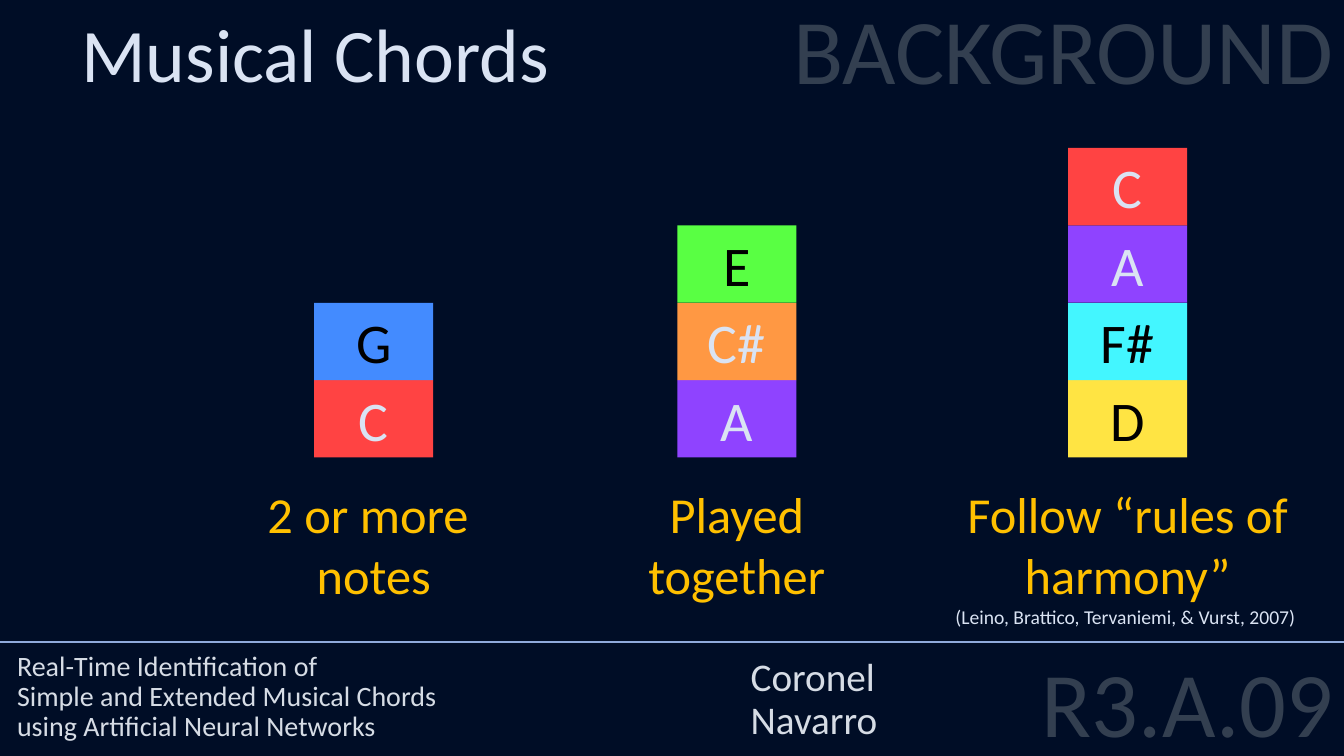
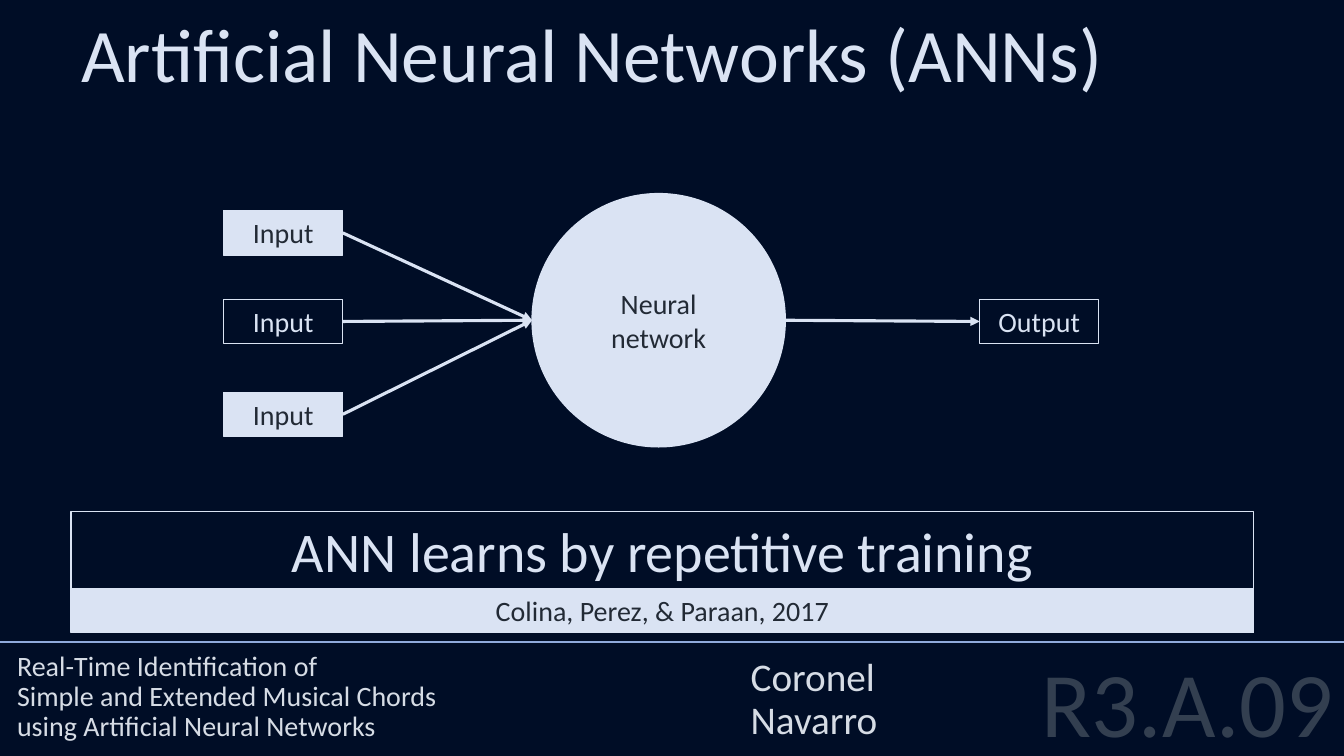
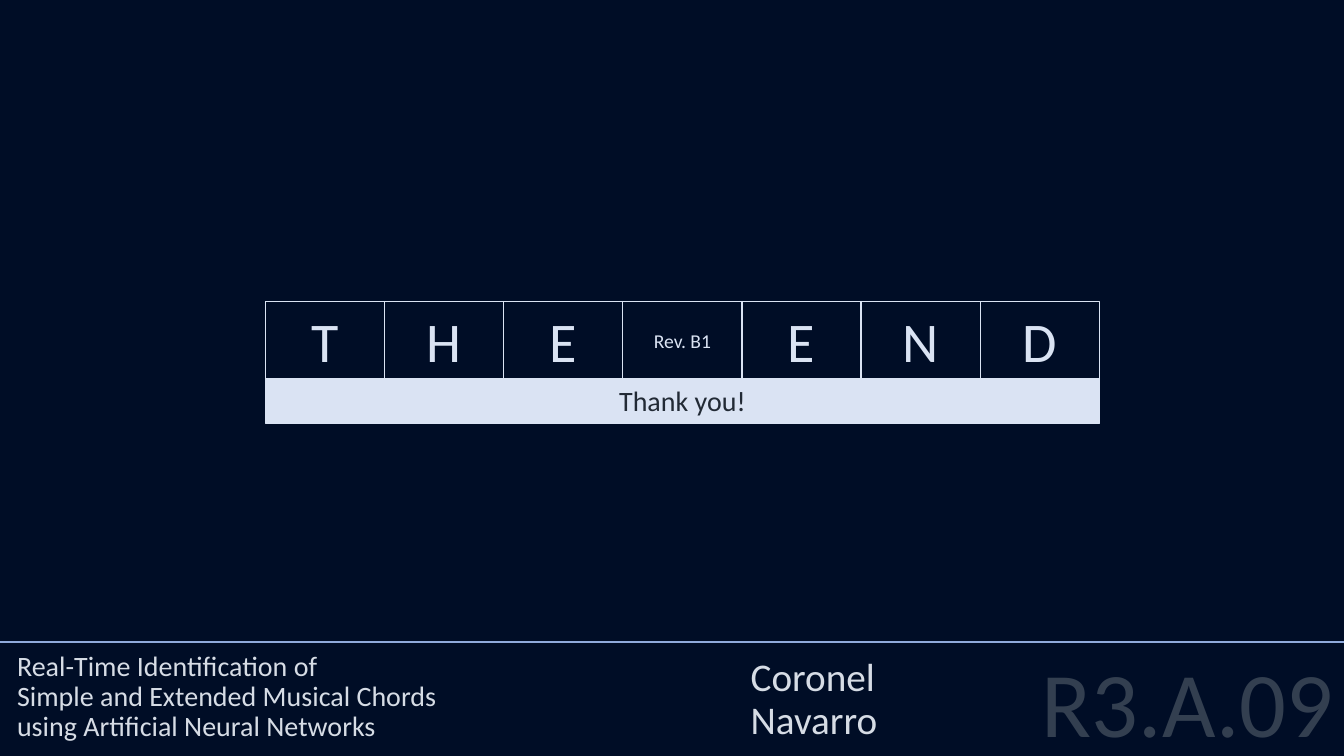
from dataclasses import dataclass

from lxml.etree import SubElement
from pptx import Presentation
from pptx.dml.color import RGBColor
from pptx.enum.shapes import MSO_CONNECTOR, MSO_SHAPE
from pptx.enum.text import MSO_ANCHOR, PP_ALIGN
from pptx.oxml.ns import qn
from pptx.util import Cm, Pt

# Content
PROJECT = ("Real-Time Identification of \vSimple and Extended Musical Chords \v"
           "using Artificial Neural Networks")
AUTHORS = "Coronel\nNavarro"
GROUP = "R3.A.09"

CHORDS_TITLE = "Musical Chords"
SECTION = "BACKGROUND"
# centre of the stack, notes from the bottom up, caption, citation
CHORDS = [
    (9.42, ["C", "G"], "2 or more \nnotes", ""),
    (18.57, ["A", "C#", "E"], "Played\ntogether", ""),
    (28.42, ["D", "F#", "A", "C"], "Follow “rules of harmony”",
     "(Leino, Brattico, Tervaniemi, & Vurst, 2007) "),
]
# block colour, and whether its letter is dark
NOTES = {
    "C": ("FF4343", False), "C#": ("FF9843", False), "D": ("FFE443", True),
    "E": ("59FF43", True), "F#": ("43F6FF", True), "G": ("438BFF", True),
    "A": ("8F43FF", False),
}

NETWORK_TITLE = "Artificial Neural Networks (ANNs)"
INPUTS = [("Input", 5.31, True), ("Input", 7.54, False), ("Input", 9.88, True)]
NETWORK = "Neural network"
OUTPUT = "Output"
LESSON = "ANN learns by repetitive training"
LESSON_SOURCE = "Colina, Perez, & Paraan, 2017"

ENDING = ["T", "H", "E", "Rev. B1", "E", "N", "D"]
THANKS = "Thank you!"


@dataclass(frozen=True)
class Theme:
    font: str = "Calibri"
    night: str = "000D26"
    pale: str = "DAE3F3"
    ink: str = "222A35"
    black: str = "000000"
    gold: str = "FFC000"
    footer: str = "D6DCE5"
    ghost: str = "333F50"
    rule: str = "8FAADC"
    huge: int = 66
    title: int = 54
    letter: int = 40
    caption: int = 36
    authors: int = 28
    label: int = 20
    small: int = 14


THEME = Theme()
WIDTH, HEIGHT = 33.87, 19.05
TILE_WIDTH, TILE_HEIGHT, STRIP_HEIGHT = 3, 1.95, 1.12

deck = Presentation()
deck.slide_width, deck.slide_height = Cm(WIDTH), Cm(HEIGHT)
backdrop = deck.slide_master.background.fill
backdrop.solid()
backdrop.fore_color.rgb = RGBColor.from_string(THEME.night)


# Drawing helpers
def write(shape, text, size, color, anchor=MSO_ANCHOR.TOP, **layout):
    frame = shape.text_frame
    frame.word_wrap = True
    frame.vertical_anchor = anchor
    frame.text = text
    for para in frame.paragraphs:
        for name, value in layout.items():
            setattr(para, name, value)
        for span in para.runs:
            style(span, size, color)


def style(span, size, color):
    for name, value in {"name": THEME.font, "size": Pt(size)}.items():
        setattr(span.font, name, value)
    span.font.color.rgb = RGBColor.from_string(color)


def add_text(page, place, text, size, color, **layout):
    box = page.shapes.add_textbox(*map(Cm, place))
    write(box, text, size, color, **layout)
    return box


def add_block(page, place, text, size, color, fill=None, line=THEME.pale,
              kind=MSO_SHAPE.RECTANGLE, line_width=0.75, anchor=MSO_ANCHOR.TOP):
    block = page.shapes.add_shape(kind, *map(Cm, place))
    block.shadow.inherit = False
    if fill:
        block.fill.solid()
        block.fill.fore_color.rgb = RGBColor.from_string(fill)
    else:
        block.fill.background()
    if line:
        block.line.color.rgb = RGBColor.from_string(line)
        block.line.width = Pt(line_width)
    else:
        block.line.fill.background()
    write(block, text, size, color, anchor, alignment=PP_ALIGN.CENTER)


def add_strip(page, place, text, filled=True):
    fill, color = (THEME.pale, THEME.ink) if filled else (None, THEME.pale)
    add_block(page, place, text, THEME.label, color, fill)


def add_line(page, start, end, color, width, arrow=False):
    line = page.shapes.add_connector(MSO_CONNECTOR.STRAIGHT, *map(Cm, start + end))
    line.line.color.rgb = RGBColor.from_string(color)
    line.line.width = Pt(width)
    properties = line.line._get_or_add_ln()
    if arrow:
        SubElement(properties, qn("a:tailEnd"), type="triangle")
    SubElement(properties.getparent(), qn("a:effectLst"))


def add_page(title=None, title_width=0):
    page = deck.slides.add_slide(deck.slide_layouts[6])
    add_text(page, (21.49, 16.66, 12.37, 2.64), GROUP, THEME.huge, THEME.ghost,
             alignment=PP_ALIGN.RIGHT, line_spacing=0.8, space_before=Pt(10))
    add_line(page, (0, 16.18), (WIDTH, 16.18), THEME.rule, 1.5)
    for left, width, text, size in ((18.67, 12.95, AUTHORS, THEME.authors),
                                    (0.18, 18.49, PROJECT, THEME.label)):
        add_text(page, (left, 11.25, width, 7.59), text, size, THEME.footer,
                 anchor=MSO_ANCHOR.BOTTOM, line_spacing=0.9)
    if title:
        add_text(page, (1.8, 0.05, title_width, 2.57), title, THEME.title, THEME.pale)
    return page


# Chords: stacks of notes on one base line, captions centred below
page = add_page(CHORDS_TITLE, 15.14)
add_text(page, (5.64, 0, 28.22, 9.09), SECTION, THEME.huge, THEME.ghost,
         alignment=PP_ALIGN.RIGHT, line_spacing=0.9, space_before=Pt(10))
base, caption_width = 11.53, 10.9
for centre, notes, caption, citation in CHORDS:
    for level, note in enumerate(notes, start=1):
        fill, dark = NOTES[note]
        place = (centre - TILE_WIDTH / 2, base - level * TILE_HEIGHT,
                 TILE_WIDTH, TILE_HEIGHT)
        add_block(page, place, note, THEME.letter,
                  THEME.black if dark else THEME.pale, fill, line=None)
    box = add_text(page, (centre - caption_width / 2, 12.06, caption_width,
                          3.94 if citation else 3.33),
                   caption, THEME.caption, THEME.gold, alignment=PP_ALIGN.CENTER)
    if citation:
        para = box.text_frame.paragraphs[0]
        para.add_line_break()
        span = para.add_run()
        span.text = citation
        style(span, THEME.small, THEME.pale)

# Network: inputs, circle and output joined by arrows
page = add_page(NETWORK_TITLE, 31.47)
input_left, output_left, output_top = 5.64, 24.69, 7.54
circle_left, circle_top, diameter = 13.41, 4.88, 6.38
circle_middle = circle_top + diameter / 2
add_block(page, (circle_left, circle_top, diameter, diameter), NETWORK, THEME.label,
          THEME.ink, THEME.pale, kind=MSO_SHAPE.OVAL, line_width=1,
          anchor=MSO_ANCHOR.MIDDLE)
for label, top, filled in INPUTS:
    add_strip(page, (input_left, top, TILE_WIDTH, STRIP_HEIGHT), label, filled)
    add_line(page, (input_left + TILE_WIDTH, top + STRIP_HEIGHT / 2),
             (circle_left, circle_middle), THEME.pale, 2.25, arrow=True)
add_strip(page, (output_left, output_top, TILE_WIDTH, STRIP_HEIGHT), OUTPUT, False)
add_line(page, (circle_left + diameter, circle_middle),
         (output_left, output_top + STRIP_HEIGHT / 2), THEME.pale, 2.25, arrow=True)
lesson_left, lesson_top, lesson_width = 1.79, 12.88, 29.81
add_block(page, (lesson_left, lesson_top, lesson_width, TILE_HEIGHT), LESSON,
          THEME.letter, THEME.pale, anchor=MSO_ANCHOR.MIDDLE)
add_strip(page, (lesson_left, lesson_top + TILE_HEIGHT, lesson_width, STRIP_HEIGHT),
          LESSON_SOURCE)

# Ending: a row of tiles over a strip
page = add_page()
row_left, row_top = 6.7, 7.6
for column, text in enumerate(ENDING):
    single = len(text) == 1
    add_block(page, (row_left + column * TILE_WIDTH, row_top, TILE_WIDTH, TILE_HEIGHT),
              text, THEME.letter if single else THEME.small, THEME.pale,
              anchor=MSO_ANCHOR.TOP if single else MSO_ANCHOR.MIDDLE)
add_strip(page, (row_left, row_top + TILE_HEIGHT, len(ENDING) * TILE_WIDTH, STRIP_HEIGHT),
          THANKS)

deck.save("out.pptx")
